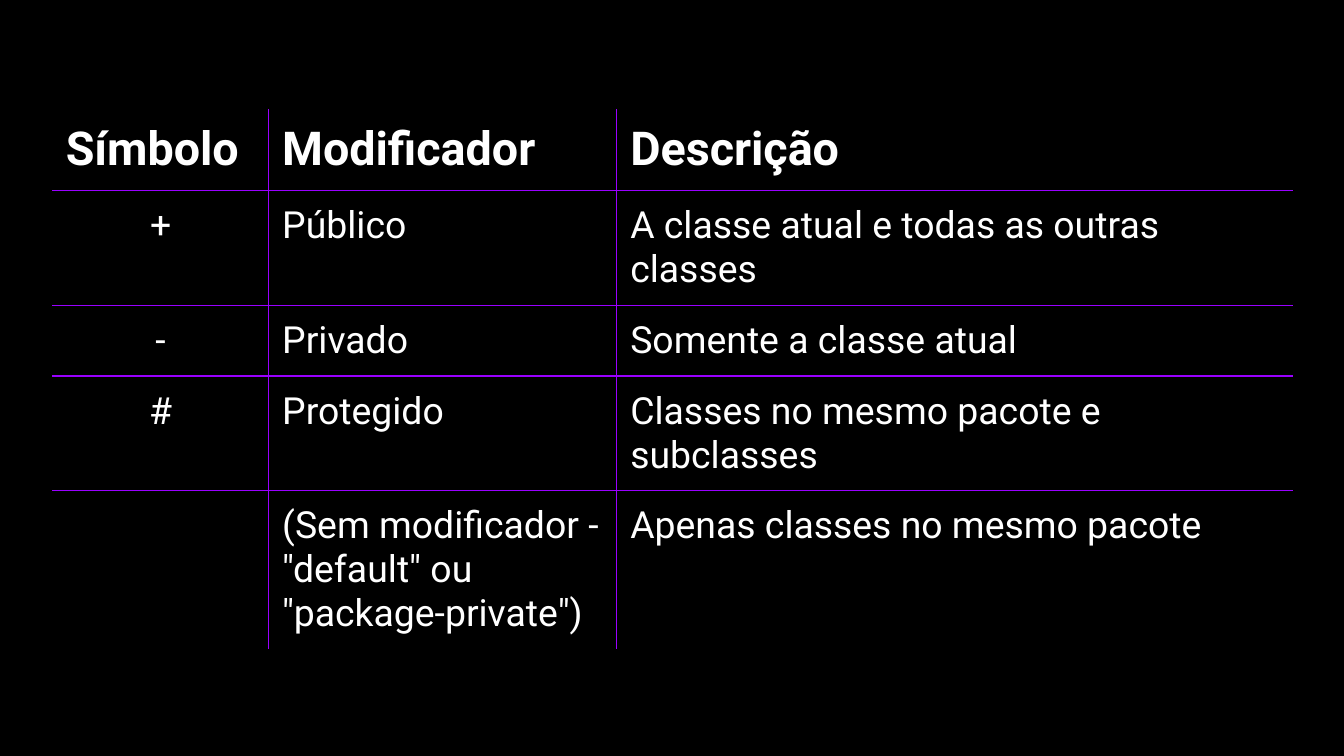
from typing import NamedTuple

from lxml.etree import SubElement
from pptx import Presentation
from pptx.dml.color import RGBColor
from pptx.enum.text import PP_ALIGN
from pptx.oxml.ns import qn
from pptx.util import Inches, Pt

FONT = "Roboto"
BLACK, WHITE, PURPLE = "000000", "FFFFFF", "9900FF"
COLUMN_WIDTHS = (1.61, 2.59, 5.03)
ROW_HEIGHT = 0.42
CELL_MARGIN = Inches(0.1)


class Modifier(NamedTuple):
    symbol: str
    name: str
    description: str


HEADER = Modifier("Símbolo", "Modificador", "Descrição")
MODIFIERS = [
    Modifier("+", "Público", "A classe atual e todas as outras classes"),
    Modifier("-", "Privado", "Somente a classe atual"),
    Modifier("#", "Protegido", "Classes no mesmo pacote e subclasses"),
    Modifier("", '(Sem modificador - "default" ou "package-private")',
             "Apenas classes no mesmo pacote"),
]


def color(value: str) -> RGBColor:
    return RGBColor.from_string(value)


def set_border(cell, side: str, visible: bool) -> None:
    """Draw a purple line on one side of a cell, or hide it."""
    properties = cell._tc.get_or_add_tcPr()
    line = SubElement(properties, qn(f"a:ln{side}"), w=str(Pt(0.75)))
    if visible:
        fill = SubElement(line, qn("a:solidFill"))
        SubElement(fill, qn("a:srgbClr"), val=PURPLE)
    else:
        SubElement(line, qn("a:noFill"))


def write_cell(cell, text: str, size: float, bold: bool, centered: bool) -> None:
    cell.margin_left = cell.margin_right = CELL_MARGIN
    cell.margin_top = cell.margin_bottom = CELL_MARGIN
    cell.text_frame.text = text
    para = cell.text_frame.paragraphs[0]
    para.alignment = PP_ALIGN.CENTER if centered else PP_ALIGN.LEFT
    for span in para.runs:
        span.font.name = FONT
        span.font.size = Pt(size)
        span.font.bold = bold
        span.font.color.rgb = color(WHITE)


def add_modifier_table(page, rows: list[Modifier]) -> None:
    last_row, last_column = len(rows) - 1, len(COLUMN_WIDTHS) - 1
    table = page.shapes.add_table(
        len(rows), len(COLUMN_WIDTHS), Inches(0.39), Inches(0.81),
        Inches(sum(COLUMN_WIDTHS)), Inches(ROW_HEIGHT * len(rows))).table
    table.first_row = table.horz_banding = False
    for column, width in zip(table.columns, COLUMN_WIDTHS):
        column.width = Inches(width)

    for row_index, modifier in enumerate(rows):
        is_header = row_index == 0
        for column_index, text in enumerate(modifier):
            cell = table.cell(row_index, column_index)
            write_cell(cell, text, 25 if is_header else 20, is_header,
                       column_index == 0 and not is_header)
            # Only the inner grid lines show
            set_border(cell, "L", column_index > 0)
            set_border(cell, "R", column_index < last_column)
            set_border(cell, "T", row_index > 0)
            set_border(cell, "B", row_index < last_row)
            cell.fill.background()


def main() -> None:
    # Widescreen 16:9 page
    deck = Presentation()
    deck.slide_width = Inches(10)
    deck.slide_height = Inches(10 * 9 / 16)
    page = deck.slides.add_slide(deck.slide_layouts[6])

    # Background
    page.background.fill.solid()
    page.background.fill.fore_color.rgb = color(BLACK)

    # Access modifiers
    add_modifier_table(page, [HEADER, *MODIFIERS])
    deck.save("out.pptx")


if __name__ == "__main__":
    main()
